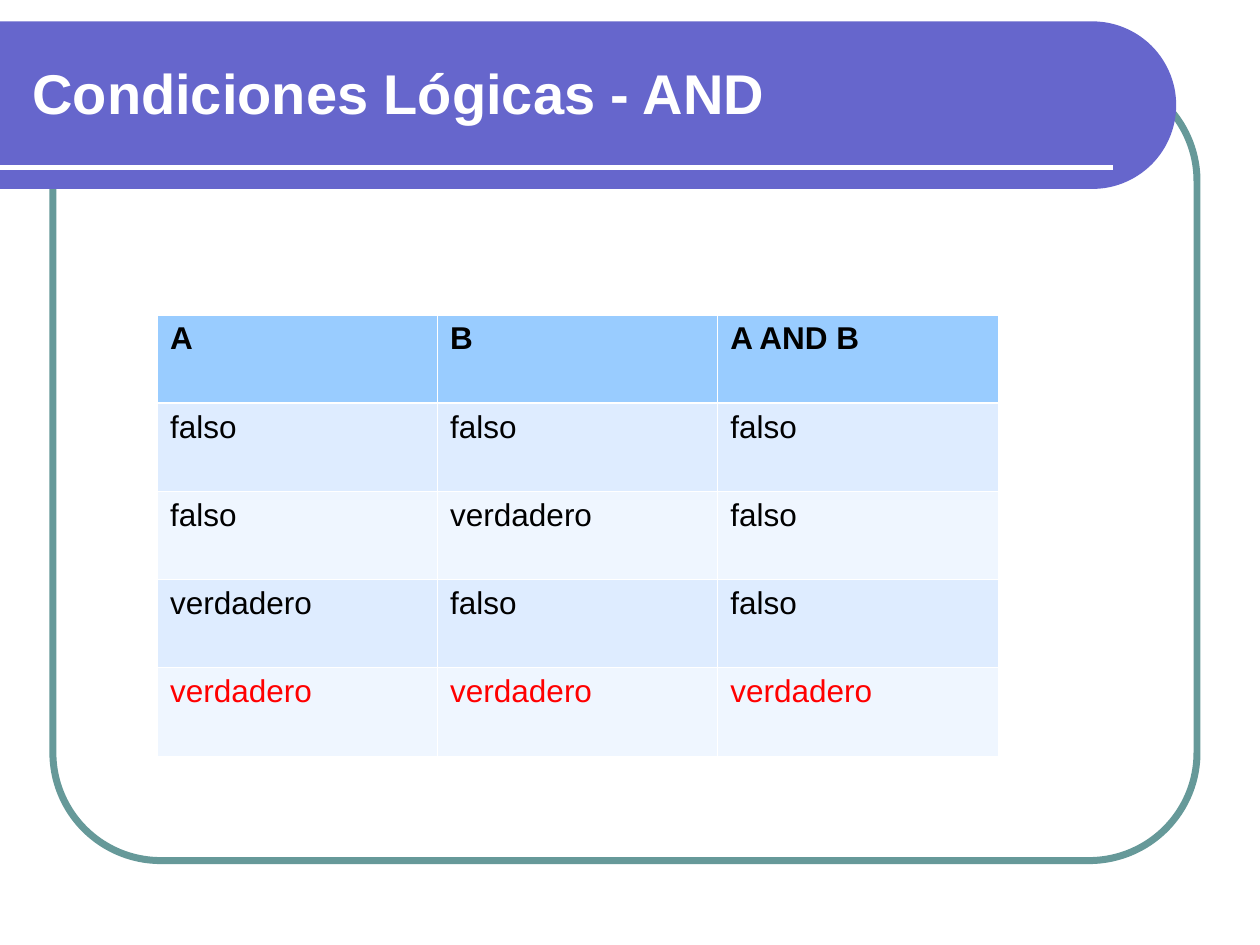
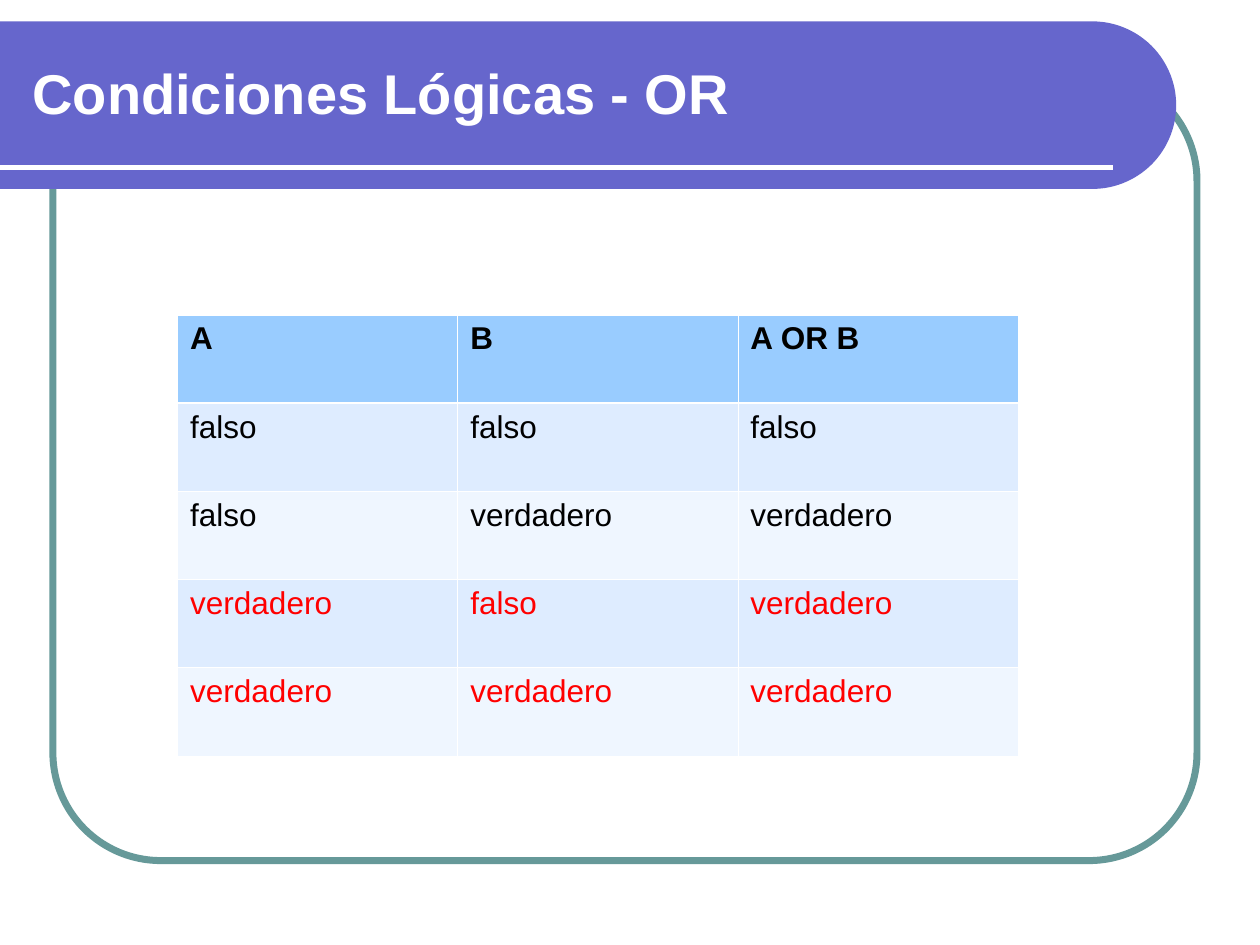
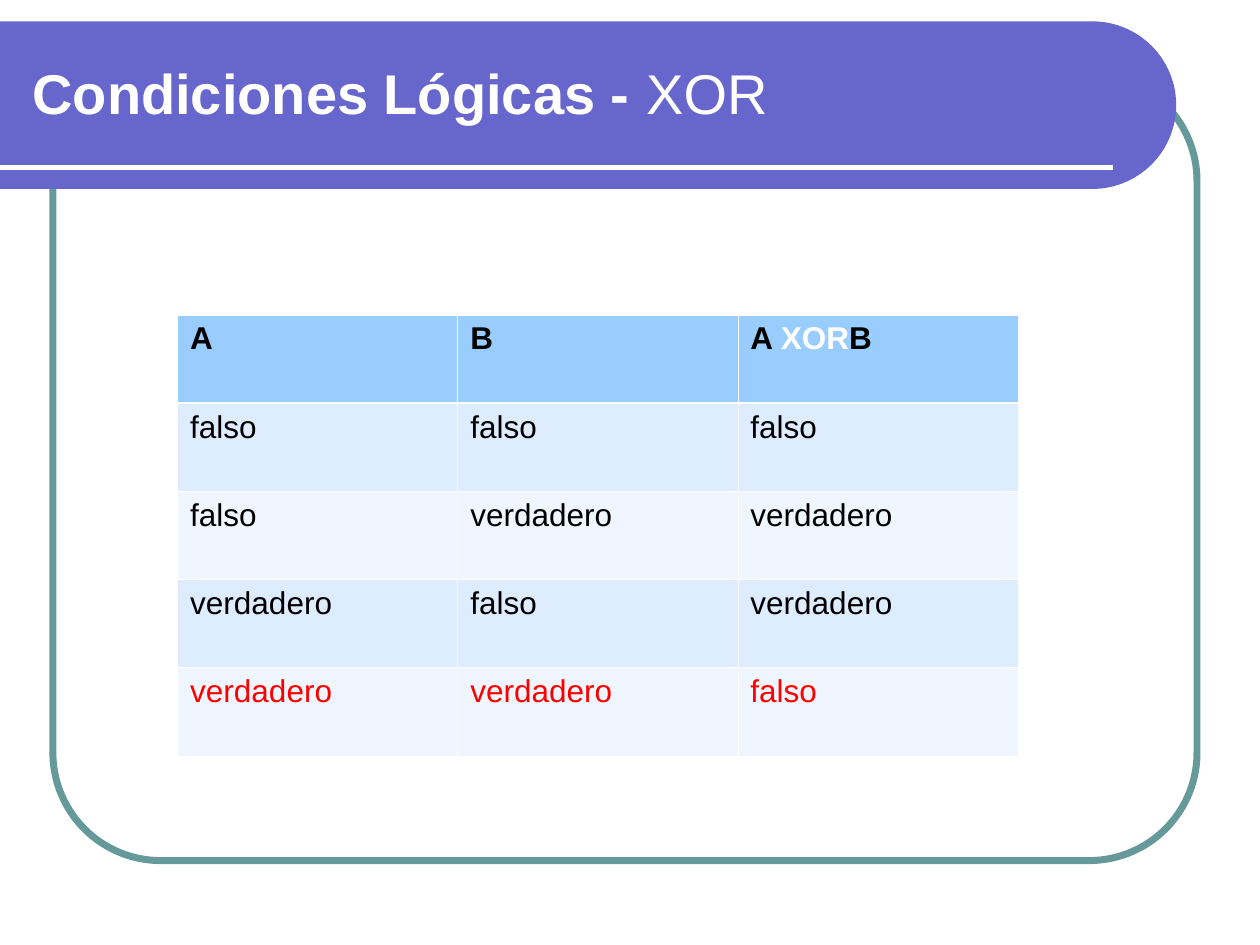
"""Build three slides with the truth tables of the AND, OR and XOR conditions."""
from collections.abc import Callable
from dataclasses import dataclass
from itertools import product
from math import cos, radians, sin

from lxml.etree import SubElement
from pptx import Presentation
from pptx.dml.color import RGBColor
from pptx.enum.shapes import MSO_CONNECTOR, MSO_SHAPE
from pptx.enum.text import MSO_ANCHOR
from pptx.oxml.ns import qn
from pptx.slide import Slide
from pptx.table import _Cell
from pptx.text.text import TextFrame
from pptx.util import Inches, Pt

COLORS = {
    "white": "FFFFFF",
    "black": "000000",
    "red": "FF0000",
    "band": "6666CC",
    "frame": "669999",
    "header": "99CCFF",
    "odd row": "DEECFF",
    "even row": "EFF6FF",
}
WORDS = {False: "falso", True: "verdadero"}
TITLE_FORMAT = {"name": "Arial", "size": Pt(32)}
CELL_FORMAT = {"name": "Arial", "size": Pt(18)}
TABLE_TOP, TABLE_WIDTH, ROW_HEIGHT = Inches(2.5), Inches(6.67), Inches(0.7)
THIN_BORDER, HEADER_BORDER = Pt(0.45), Pt(1.47)


@dataclass(frozen=True)
class Span:
    text: str
    color: str = "black"
    bold: bool = False


@dataclass(frozen=True)
class TruthTable:
    title: tuple[Span, ...]
    result_header: tuple[Span, ...]
    operation: Callable[[bool, bool], bool]
    left: float
    red_rows: tuple[int, ...]


TRUTH_TABLES = (
    TruthTable(
        title=(Span("Condiciones Lógicas - AND", "white", True),),
        result_header=(Span("A AND B", bold=True),),
        operation=lambda a, b: a and b,
        left=1.25,
        red_rows=(4,),
    ),
    TruthTable(
        title=(Span("Condiciones Lógicas - OR", "white", True),),
        result_header=(Span("A OR B", bold=True),),
        operation=lambda a, b: a or b,
        left=1.41,
        red_rows=(3, 4),
    ),
    TruthTable(
        title=(Span("Condiciones Lógicas - ", "white", True), Span("XOR", "white")),
        result_header=(
            Span("A ", bold=True),
            Span("XOR", "white", True),
            Span("B", bold=True),
        ),
        operation=lambda a, b: a != b,
        left=1.41,
        red_rows=(4,),
    ),
)


def color_of(name: str) -> RGBColor:
    """Return the named palette colour."""
    return RGBColor.from_string(COLORS[name])


def write_spans(frame: TextFrame, spans: tuple[Span, ...], text_format: dict) -> None:
    """Write the spans as runs of the first paragraph."""
    para = frame.paragraphs[0]
    for span in spans:
        run = para.add_run()
        run.text = span.text
        for name, value in {**text_format, "bold": span.bold}.items():
            setattr(run.font, name, value)
        run.font.color.rgb = color_of(span.color)


def draw_frame(page: Slide) -> None:
    """Draw the rounded outline behind the content."""
    frame = page.shapes.add_shape(
        MSO_SHAPE.ROUNDED_RECTANGLE,
        Inches(0.42), Inches(0.58), Inches(9.08), Inches(6.25),
    )
    frame.adjustments[0] = 0.137
    frame.shadow.inherit = False
    frame.fill.background()
    frame.line.color.rgb = color_of("frame")
    frame.line.width = Pt(4)


def draw_band(page: Slide) -> None:
    """Draw the title band with its round right end and white rule."""
    top, bottom, center = Inches(0.17), Inches(1.5), Inches(8.67)
    radius = (bottom - top) / 2
    curve = [
        (
            round(center + radius * cos(radians(angle))),
            round(top + radius + radius * sin(radians(angle))),
        )
        for angle in range(-90, 91, 3)
    ]
    builder = page.shapes.build_freeform(0, top)
    builder.add_line_segments([*curve, (0, bottom)], close=True)
    band = builder.convert_to_shape()
    band.shadow.inherit = False
    band.fill.solid()
    band.fill.fore_color.rgb = color_of("band")
    band.line.fill.background()

    rule = page.shapes.add_connector(
        MSO_CONNECTOR.STRAIGHT, 0, Inches(1.33), Inches(8.83), Inches(1.33)
    )
    rule.line.color.rgb = color_of("white")
    rule.line.width = Pt(3)
    SubElement(rule.element.spPr, qn("a:effectLst"))


def draw_title(page: Slide, spans: tuple[Span, ...]) -> None:
    """Write the slide title over the band."""
    box = page.shapes.add_textbox(Inches(0.16), Inches(0.23), Inches(8.77), Inches(1))
    box.text_frame.word_wrap = True
    box.text_frame.vertical_anchor = MSO_ANCHOR.MIDDLE
    write_spans(box.text_frame, spans, TITLE_FORMAT)


def set_borders(cell: _Cell, row: int) -> None:
    """Give the cell white borders, heavier between header and body."""
    widths = {
        "a:lnL": THIN_BORDER,
        "a:lnR": THIN_BORDER,
        "a:lnT": HEADER_BORDER if row == 1 else THIN_BORDER,
        "a:lnB": HEADER_BORDER if row == 0 else THIN_BORDER,
    }
    properties = cell._tc.get_or_add_tcPr()
    for tag, width in widths.items():
        border = SubElement(properties, qn(tag), w=str(int(width)))
        fill = SubElement(border, qn("a:solidFill"))
        SubElement(fill, qn("a:srgbClr"), val=COLORS["white"])


def row_color(row: int) -> str:
    """Return the name of the fill colour of a table row."""
    if row == 0:
        return "header"
    return "odd row" if row % 2 else "even row"


def draw_table(page: Slide, truth: TruthTable) -> None:
    """Draw the truth table of one logical operation."""
    rows = [[(Span("A", bold=True),), (Span("B", bold=True),), truth.result_header]]
    for number, (a, b) in enumerate(product((False, True), repeat=2), start=1):
        color = "red" if number in truth.red_rows else "black"
        values = (a, b, truth.operation(a, b))
        rows.append([(Span(WORDS[value], color),) for value in values])

    table = page.shapes.add_table(
        len(rows), len(rows[0]),
        Inches(truth.left), TABLE_TOP, TABLE_WIDTH, ROW_HEIGHT * len(rows),
    ).table
    for row, contents in enumerate(rows):
        for column, spans in enumerate(contents):
            cell = table.cell(row, column)
            set_borders(cell, row)
            cell.fill.solid()
            cell.fill.fore_color.rgb = color_of(row_color(row))
            write_spans(cell.text_frame, spans, CELL_FORMAT)


def main() -> None:
    """Build and save the deck."""
    deck = Presentation()
    deck.slide_width, deck.slide_height = Inches(10), Inches(7.5)
    for truth in TRUTH_TABLES:
        page = deck.slides.add_slide(deck.slide_layouts[6])
        draw_frame(page)
        draw_band(page)
        draw_title(page, truth.title)
        draw_table(page, truth)
    deck.save("out.pptx")


if __name__ == "__main__":
    main()
